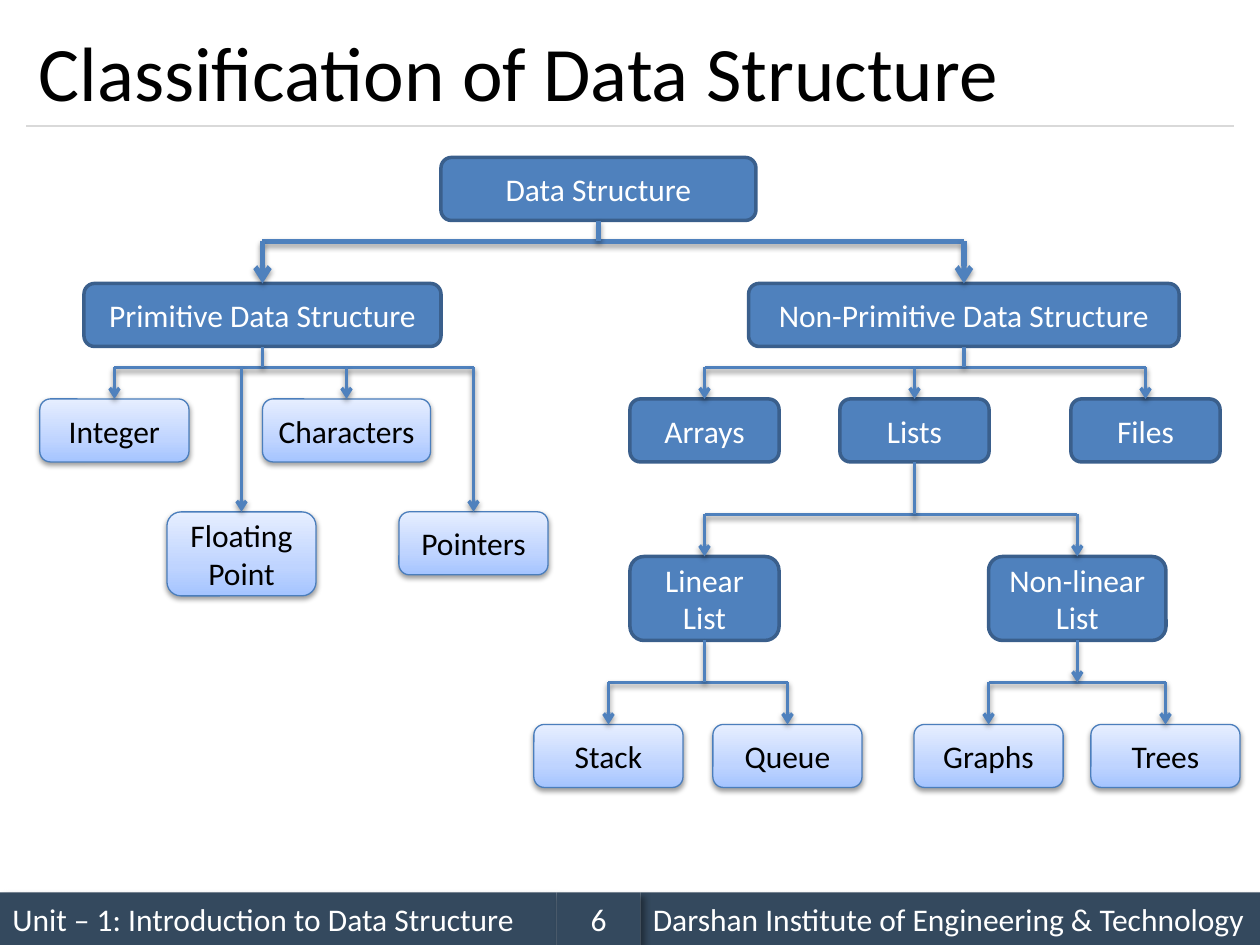
from dataclasses import dataclass

from pptx import Presentation
from pptx.dml.color import RGBColor
from pptx.enum.shapes import MSO_CONNECTOR, MSO_SHAPE
from pptx.enum.text import MSO_ANCHOR, PP_ALIGN
from pptx.oxml import parse_xml
from pptx.oxml.ns import nsdecls, qn
from pptx.oxml.xmlchemy import OxmlElement
from pptx.util import Emu, Inches, Pt

RECTANGLE, ROUNDED = MSO_SHAPE.RECTANGLE, MSO_SHAPE.ROUNDED_RECTANGLE
STRAIGHT = MSO_CONNECTOR.STRAIGHT
LEFT, CENTER = PP_ALIGN.LEFT, PP_ALIGN.CENTER
MIDDLE = MSO_ANCHOR.MIDDLE
TOP_SIDE, BOTTOM_SIDE = 0, 2

WIDTH, HEIGHT = Inches(10), Inches(7.5)
COLUMNS, ROWS = 120, 90


@dataclass(frozen=True)
class Shadow:
    opacity: int
    blur: float
    distance: float
    angle: int


@dataclass(frozen=True)
class Theme:
    font: str = "Calibri"
    title_size: int = 44
    body_size: int = 18
    white: str = "FFFFFF"
    black: str = "000000"
    blue: str = "4F81BD"
    blue_edge: str = "3A5F8C"
    leaf_edge: str = "4B7EBC"
    leaf_stops: tuple = ((0, "A4C4FF"), (35, "BFD4FF"), (100, "E6EEFF"))
    rule: str = "D9D9D9"
    footer: str = "34495E"
    footer_shadow: Shadow = Shadow(40, 4, 3, 45)
    tree_shadow: Shadow = Shadow(38, 3.1, 1.6, 90)


THEME = Theme()


@dataclass(frozen=True)
class Node:
    """A tree box; centre, top, width and height are in grid units."""
    text: str
    center: float
    top: float
    width: float = 14.2
    height: float = 6
    leaf: bool = False


@dataclass(frozen=True)
class Branch:
    parent: str
    bus: float
    children: tuple[str, ...]
    weight: float = 2
    stem_arrow: bool = False


@dataclass(frozen=True)
class FooterCell:
    text: str
    left: float
    right: float
    align: PP_ALIGN = LEFT


NODES = (
    Node("Data Structure", 57, 15, width=30),
    Node("Primitive Data Structure", 25, 27, width=34),
    Node("Non-Primitive Data Structure", 91.8, 27, width=41),
    Node("Integer", 10.9, 38, leaf=True),
    Node("Floating\nPoint", 23, 48.75, height=8, leaf=True),
    Node("Characters", 33, 38, width=16, leaf=True),
    Node("Pointers", 45.1, 48.75, leaf=True),
    Node("Arrays", 67.1, 38),
    Node("Lists", 87.1, 38),
    Node("Files", 109.1, 38),
    Node("Linear List", 67.1, 53, height=8),
    Node("Non-linear List", 102.6, 53, width=16.9, height=8),
    Node("Stack", 57.95, 69, leaf=True),
    Node("Queue", 75, 69, leaf=True),
    Node("Graphs", 94.15, 69, leaf=True),
    Node("Trees", 111, 69, leaf=True),
)

BRANCHES = (
    Branch("Data Structure", 23, ("Primitive Data Structure", "Non-Primitive Data Structure"), weight=3),
    Branch("Primitive Data Structure", 35, ("Integer", "Floating\nPoint", "Characters", "Pointers")),
    Branch("Non-Primitive Data Structure", 35, ("Arrays", "Lists", "Files")),
    Branch("Lists", 49, ("Linear List", "Non-linear List")),
    Branch("Linear List", 65, ("Stack", "Queue")),
    Branch("Non-linear List", 65, ("Graphs", "Trees"), stem_arrow=True),
)

FOOTER_TOP = 85
FOOTER = (
    FooterCell("Unit – 1: Introduction to Data Structure", 0, 53),
    FooterCell("Darshan Institute of Engineering & Technology", 61, COLUMNS),
    FooterCell("6", 53, 61, CENTER),
)


def col(units: float) -> Emu:
    return Emu(round(WIDTH * units / COLUMNS))


def row(units: float) -> Emu:
    return Emu(round(HEIGHT * units / ROWS))


def rgb(value: str) -> RGBColor:
    return RGBColor.from_string(value)


def cast_shadow(effects, shadow: Shadow) -> None:
    effects.append(parse_xml(
        f'<a:outerShdw {nsdecls("a")} blurRad="{Pt(shadow.blur)}" dist="{Pt(shadow.distance)}" '
        f'dir="{shadow.angle * 60000}" rotWithShape="0"><a:srgbClr val="{THEME.black}">'
        f'<a:alpha val="{shadow.opacity * 1000}"/></a:srgbClr></a:outerShdw>'))


def shade_shape(shape, shadow: Shadow) -> None:
    shape.shadow.inherit = False
    cast_shadow(shape._element.spPr.find(qn("a:effectLst")), shadow)


def fill_leaf(shape) -> None:
    shape.fill.gradient()
    shape.fill.gradient_angle = 90
    stops = "".join(f'<a:gs pos="{position * 1000}"><a:srgbClr val="{color}"/></a:gs>'
                    for position, color in THEME.leaf_stops)
    old_stops = shape._element.spPr.find(qn("a:gradFill")).find(qn("a:gsLst"))
    old_stops.getparent().replace(old_stops, parse_xml(f'<a:gsLst {nsdecls("a")}>{stops}</a:gsLst>'))


def write(box, text: str, color: str, size: float, align: PP_ALIGN) -> None:
    frame = box.text_frame
    frame.word_wrap = True
    frame.vertical_anchor = MIDDLE
    for index, line in enumerate(text.split("\n")):
        para = frame.add_paragraph() if index else frame.paragraphs[0]
        para.alignment = align
        span = para.add_run()
        span.text = line
        span.font.name, span.font.size = THEME.font, Pt(size)
        span.font.color.rgb = rgb(color)


def draw_footer_cell(page, cell: FooterCell) -> None:
    shape = page.shapes.add_shape(RECTANGLE, col(cell.left), row(FOOTER_TOP),
                                  col(cell.right - cell.left), row(ROWS - FOOTER_TOP))
    shape.fill.solid()
    shape.fill.fore_color.rgb = rgb(THEME.footer)
    shape.line.fill.background()
    shade_shape(shape, THEME.footer_shadow)
    write(shape, cell.text, THEME.white, THEME.body_size, cell.align)


def draw_node(page, node: Node):
    shape = page.shapes.add_shape(ROUNDED, col(node.center - node.width / 2), row(node.top),
                                  col(node.width), row(node.height))
    if node.leaf:
        fill_leaf(shape)
        shade_shape(shape, THEME.tree_shadow)
    else:
        shape.fill.solid()
        shape.fill.fore_color.rgb = rgb(THEME.blue)
        shape.shadow.inherit = False
    shape.line.color.rgb = rgb(THEME.leaf_edge if node.leaf else THEME.blue_edge)
    shape.line.width = Pt(0.75 if node.leaf else 2)
    write(shape, node.text, THEME.black if node.leaf else THEME.white, THEME.body_size, CENTER)
    return shape


def draw_line(page, start: tuple, end: tuple, color: str, weight: float,
              arrow: bool = False, shadow: Shadow | None = None):
    line = page.shapes.add_connector(STRAIGHT, col(start[0]), row(start[1]), col(end[0]), row(end[1]))
    line.line.color.rgb = rgb(color)
    line.line.width = Pt(weight)
    if arrow:
        line.line._get_or_add_ln().append(parse_xml(f'<a:tailEnd {nsdecls("a")} type="arrow"/>'))
    effects = OxmlElement("a:effectLst")
    line._element.spPr.append(effects)
    if shadow:
        cast_shadow(effects, shadow)
    return line


def draw_branch(page, branch: Branch, nodes: dict[str, Node], boxes: dict) -> None:
    """Draw the bus, a drop to each child, and the stem from the parent."""
    def tree_line(start: tuple, end: tuple, arrow: bool = False):
        return draw_line(page, start, end, THEME.blue, branch.weight, arrow, THEME.tree_shadow)

    parent = nodes[branch.parent]
    children = [nodes[name] for name in branch.children]
    centers = [child.center for child in children]
    tree_line((min(centers), branch.bus), (max(centers), branch.bus))
    for child in children:
        drop = tree_line((child.center, branch.bus), (child.center, child.top), arrow=True)
        drop.end_connect(boxes[child.text], TOP_SIDE)
    stem = tree_line((parent.center, parent.top + parent.height), (parent.center, branch.bus), branch.stem_arrow)
    stem.begin_connect(boxes[parent.text], BOTTOM_SIDE)


def main() -> None:
    deck = Presentation()
    deck.slide_width, deck.slide_height = WIDTH, HEIGHT
    page = deck.slides.add_slide(deck.slide_layouts[6])
    for cell in FOOTER:
        draw_footer_cell(page, cell)
    draw_line(page, (2.5, 12), (117.5, 12), THEME.rule, 0.75)
    title = page.shapes.add_textbox(col(2.5), row(1.5), col(115), row(10.5))
    write(title, "Classification of Data Structure", THEME.black, THEME.title_size, LEFT)
    nodes = {node.text: node for node in NODES}
    boxes = {node.text: draw_node(page, node) for node in NODES}
    for branch in BRANCHES:
        draw_branch(page, branch, nodes, boxes)
    deck.save("out.pptx")


if __name__ == "__main__":
    main()
